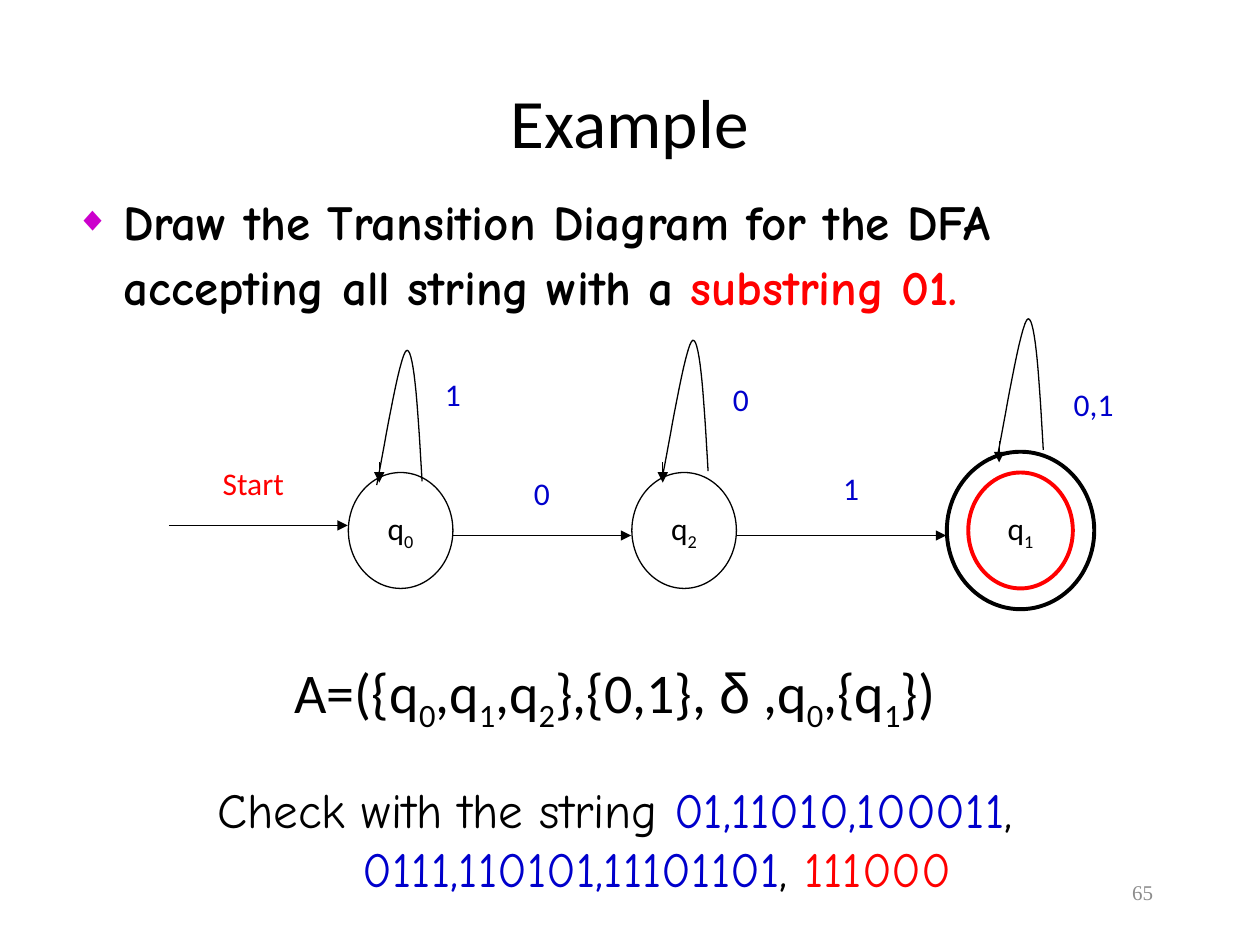
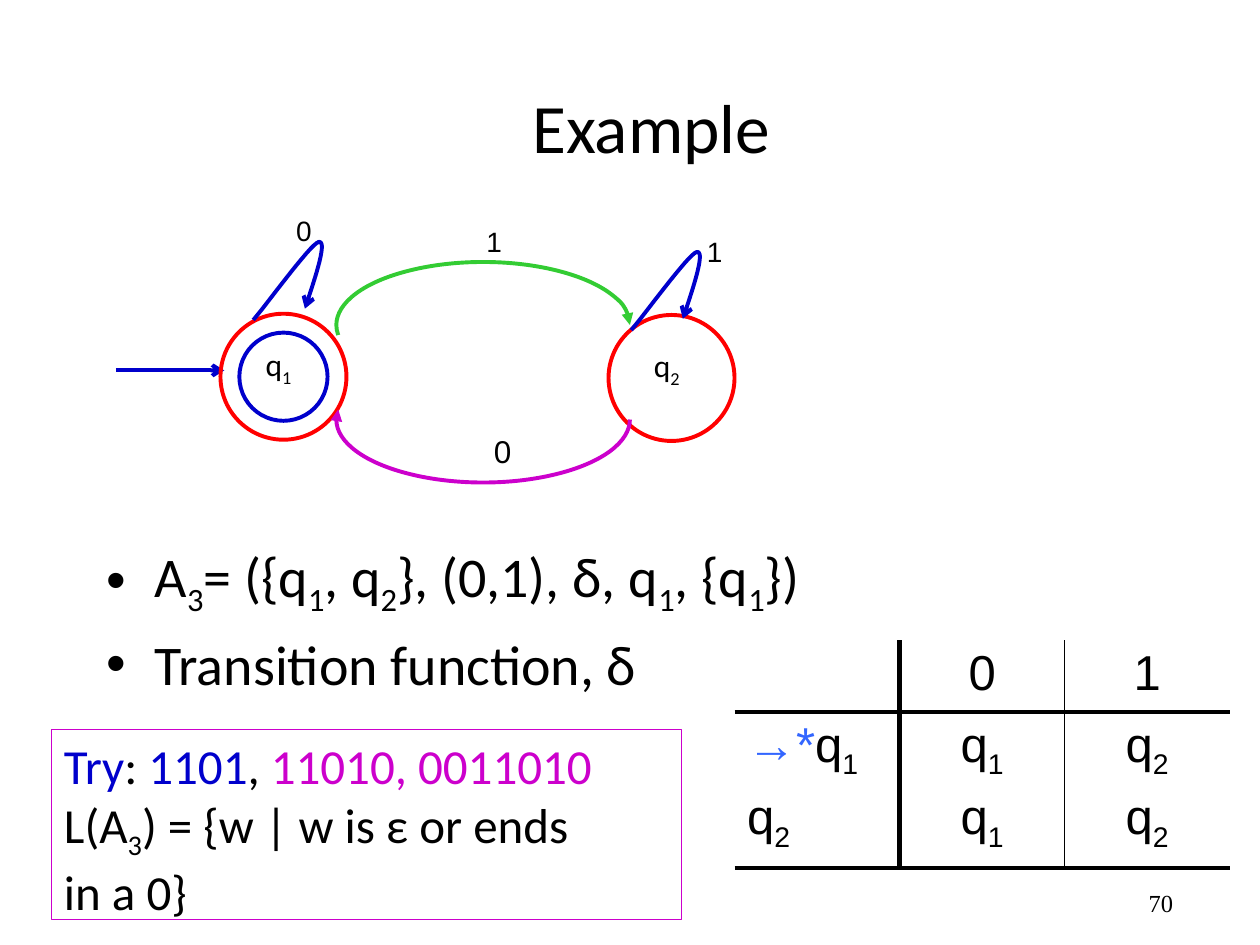
"""Builds two slides with state diagrams of finite automata."""
from math import cos, radians, sin

from lxml import etree
from pptx import Presentation
from pptx.dml.color import RGBColor
from pptx.enum.shapes import MSO_CONNECTOR, MSO_SHAPE
from pptx.enum.text import MSO_ANCHOR, PP_ALIGN
from pptx.oxml.ns import qn
from pptx.util import Inches, Pt

LEFT, CENTER, RIGHT = PP_ALIGN.LEFT, PP_ALIGN.CENTER, PP_ALIGN.RIGHT
TOP, MIDDLE = MSO_ANCHOR.TOP, MSO_ANCHOR.MIDDLE
OVAL, ARC, RECTANGLE = MSO_SHAPE.OVAL, MSO_SHAPE.ARC, MSO_SHAPE.RECTANGLE
STRAIGHT = MSO_CONNECTOR.STRAIGHT

BLACK, WHITE, GRAY = "000000", "FFFFFF", "8C8C8C"
RED, BLUE, GREEN, PURPLE, SKY = "FF0000", "0000CC", "33CC33", "CC00CC", "3366FF"
BODY, HAND, SANS, SERIF = "Calibri", "Comic Neue", "Arial", "Times New Roman"
THIN, THICK = 0.75, 2.25


def write(frame, paragraphs, size, font=BODY, align=LEFT, anchor=TOP, wrap=True, before=0,
          bold=False, hang=0, bullet=None, bullet_color=BLACK, bullet_share=100):
    """Fill a frame with lists of (text, colour[, font[, size]]); "_" lowers one character."""
    frame.word_wrap = wrap
    frame.vertical_anchor = anchor
    for number, pieces in enumerate(paragraphs):
        paragraph = frame.add_paragraph() if number else frame.paragraphs[0]
        paragraph.alignment = align
        paragraph.space_before = Pt(before)
        properties = paragraph._p.get_or_add_pPr()
        properties.set("marL", str(Inches(hang)))
        properties.set("indent", str(-Inches(hang)))
        if bullet:
            tint = etree.SubElement(properties, qn("a:buClr"))
            etree.SubElement(tint, qn("a:srgbClr"), val=bullet_color)
            etree.SubElement(properties, qn("a:buSzPct"), val=str(bullet_share * 1000))
            etree.SubElement(properties, qn("a:buFont"), typeface=SANS)
            etree.SubElement(properties, qn("a:buChar"), char=bullet)
        for text, color, *own in pieces:
            plain, *lowered = text.split("_")
            parts = [(plain, False)]
            for part in lowered:
                parts += [(part[0], True), (part[1:], False)]
            for part, is_subscript in parts:
                if not part:
                    continue
                run = paragraph.add_run()
                run.text = part
                run.font.name = own[0] if own else font
                run.font.size = Pt(own[1] if len(own) > 1 else size)
                run.font.bold = bold
                run.font.color.rgb = RGBColor.from_string(color)
                if is_subscript:
                    run._r.get_or_add_rPr().set("baseline", "-25000")


def stroke(shape, color, width, head=None, tail=None):
    """Set the line, its arrowheads and no shadow."""
    shape.line.color.rgb = RGBColor.from_string(color)
    shape.line.width = Pt(width)
    properties = shape._element.spPr
    line = properties.find(qn("a:ln"))
    for end, kind in (("a:headEnd", head), ("a:tailEnd", tail)):
        if kind:
            etree.SubElement(line, qn(end), type=kind)
    etree.SubElement(properties, qn("a:effectLst"))


deck = Presentation()
deck.slide_width, deck.slide_height = Inches(10), Inches(7.5)
title_only = deck.slide_layouts[5]

frames = [
    ((0.75, 0.67, 8.5, 0.58), "65", (7.17, 6.83, 2.08, 0.5), 12, GRAY, MIDDLE),
    ((0.92, 0.83, 8.5, 0.33), "70", (7.33, 7, 2.08, 0.5), 14, BLACK, TOP),
]
slides = []
for title_at, page, page_at, page_size, page_color, page_anchor in frames:
    slide = deck.slides.add_slide(title_only)
    title = slide.shapes.title
    title.left, title.top, title.width, title.height = map(Inches, title_at)
    write(title.text_frame, [[("Example", BLACK)]], 39.6, align=CENTER, anchor=MIDDLE)
    number = slide.shapes.add_textbox(*map(Inches, page_at))
    write(number.text_frame, [[(page, page_color)]], page_size, SERIF, RIGHT, page_anchor)
    slides.append(slide.shapes)
substring, ending = slides

task = substring.add_textbox(*map(Inches, (0.5, 1.42, 9, 5.5))).text_frame
write(task, [[("Draw the Transition Diagram for the DFA accepting all string with a ", BLACK),
              ("substring 01.", RED)]],
      28, HAND, before=2, bold=True, hang=0.38,
      bullet="◆", bullet_color=PURPLE, bullet_share=70)
task.paragraphs[0].line_spacing = 1.11

center_y = 4.21
states = [
    (3.18, 0.83, 0.92, BLACK, THIN, "q_0"),
    (8.1, 1.17, 1.25, BLACK, THICK, ""),
    (5.43, 0.83, 0.92, BLACK, THIN, "q_2"),
    (8.1, 0.83, 0.92, RED, THICK, "q_1"),
]
for center_x, width, height, color, weight, name in states:
    state = substring.add_shape(OVAL, *map(Inches, (
        center_x - width / 2, center_y - height / 2, width, height)))
    state.fill.solid()
    state.fill.fore_color.rgb = RGBColor.from_string(WHITE)
    stroke(state, color, weight)
    write(state.text_frame, [[(name, BLACK)]], 18, align=CENTER, anchor=MIDDLE, wrap=False)

moves = [
    (substring, (3.59, 4.25), (5.01, 4.25), BLACK, THIN, "triangle"),
    (substring, (5.84, 4.25), (7.51, 4.25), BLACK, THIN, "triangle"),
    (substring, (1.34, 4.17), (2.76, 4.17), BLACK, THIN, "triangle"),
    (substring, (3.01, 3.67), (3.01, 3.83), BLACK, THIN, "triangle"),
    (substring, (5.26, 3.67), (5.26, 3.83), BLACK, THIN, "triangle"),
    (substring, (7.93, 3.5), (7.93, 3.67), BLACK, THIN, "triangle"),
    (ending, (0.92, 2.94), (1.78, 2.94), BLUE, THICK, "arrow"),
]
for shapes, start, end, color, weight, tip in moves:
    move = shapes.add_connector(STRAIGHT, *map(Inches, start + end))
    stroke(move, color, weight, tail=tip)

for center_x, center_y, diameter, color in [
        (2.25, 2.99, 1, RED), (2.25, 2.99, 0.7, BLUE), (5.33, 3, 1, RED)]:
    ring = ending.add_shape(OVAL, *map(Inches, (
        center_x - diameter / 2, center_y - diameter / 2, diameter, diameter)))
    ring.fill.background()
    stroke(ring, color, THICK)

tall_loop = [((0, 0), (-0.03, -0.52), (-0.06, -1.04), (-0.12, -1.04)),
             ((-0.12, -1.04), (-0.18, -1.03), (-0.32, -0.15), (-0.36, 0.03))]
slanted_loop = [((0, 0), (0.09, -0.27), (0.18, -0.54), (0.11, -0.53)),
                ((0.11, -0.53), (0.04, -0.51), (-0.32, -0.01), (-0.41, 0.09))]
loops = [
    (substring, 3.35, 3.82, tall_loop, 340.2, BLACK, THIN, None),
    (substring, 5.62, 3.74, tall_loop, 340.2, BLACK, THIN, None),
    (substring, 8.28, 3.57, tall_loop, 340.2, BLACK, THIN, None),
    (ending, 2.42, 2.45, slanted_loop, 341.3, BLUE, THICK, "arrow"),
    (ending, 5.42, 2.53, slanted_loop, 341.3, BLUE, THICK, "arrow"),
]
STEPS = 16
for shapes, x, y, curves, angle, color, weight, tip in loops:
    turn = complex(cos(radians(angle)), sin(radians(angle)))
    start = complex(Inches(x), Inches(y))
    points = []
    for curve in curves:
        for step in range(1, STEPS + 1):
            t = step / STEPS
            weights = ((1 - t) ** 3, 3 * t * (1 - t) ** 2, 3 * t * t * (1 - t), t ** 3)
            offset = sum(w * complex(*point) for w, point in zip(weights, curve))
            upright = start + Inches(1) * offset / turn
            points.append((upright.real, upright.imag))
    outline = shapes.build_freeform(Inches(x), Inches(y))
    outline.add_line_segments(points, close=False)
    loop = outline.convert_to_shape()
    middle = complex(loop.left + loop.width / 2, loop.top + loop.height / 2)
    middle = start + (middle - start) * turn
    loop.left = int(middle.real - loop.width / 2)
    loop.top = int(middle.imag - loop.height / 2)
    loop.rotation = angle
    loop.fill.background()
    stroke(loop, color, weight, head=tip)

for top, color, head, tail in [(2.08, GREEN, None, "triangle"),
                               (2.83, PURPLE, "triangle", None)]:
    arc = ending.add_shape(ARC, *map(Inches, (2.67, top, 2.33, 1)))
    arc.adjustments[0], arc.adjustments[1] = 105.62, 0
    arc.fill.background()
    stroke(arc, color, THICK, head, tail)
    if head:
        arc._element.spPr.find(qn("a:xfrm")).set("flipV", "1")

for text, color, at in [
        ("Start", RED, (1.51, 3.67, 1, 0.33)), ("0", BLUE, (4.01, 3.75, 0.58, 0.33)),
        ("1", BLUE, (6.59, 3.75, 0.33, 0.25)), ("1", BLUE, (3.43, 3, 0.33, 0.25)),
        ("0", BLUE, (5.59, 3, 0.58, 0.33)), ("0,1", BLUE, (8.38, 3.08, 0.6, 0.25))]:
    label = substring.add_textbox(*map(Inches, at))
    write(label.text_frame, [[(text, color)]], 18, align=CENTER, anchor=MIDDLE, wrap=False)

for name, left, top in [("q_1", 2.01, 2.69), ("q_2", 5.09, 2.7)]:
    label = ending.add_textbox(*map(Inches, (left, top, 0.51, 0.5)))
    write(label.text_frame, [[(name, BLACK)]], 18, wrap=False)

automaton = substring.add_textbox(*map(Inches, (0.17, 5.17, 9.42, 2))).text_frame
write(automaton,
      [[("A=({q_0,q_1,q_2},{0,1}, ", BLACK), ("δ", BLACK, SANS), (" ,q_0,{q_1})", BLACK)],
       [("Check with the string ", BLACK, HAND, 28), ("01,11010,100011", BLUE, HAND, 28),
        (", ", BLACK, HAND, 28), ("0111,110101,11101101", BLUE, HAND, 28),
        (", ", BLACK, HAND, 28), ("111000", RED, HAND, 28)]],
      32, align=CENTER, before=6.4, hang=0.67)
automaton.paragraphs[1].space_before = Pt(26)

definition = ending.add_textbox(*map(Inches, (0.75, 4.25, 8.5, 2.42)))
write(definition.text_frame,
      [[("A_3= ({q_1, q_2}, (0,1), δ, q_1, {q_1})", BLACK)],
       [("Transition function, δ", BLACK)]],
      32, before=6.4, hang=0.38, bullet="•")

transitions = [
    [[], [[("0", BLACK)]], [[("1", BLACK)]]],
    [[[("→*", SKY), ("q_1", BLACK)], [("q_2", BLACK)]],
     [[("q_1", BLACK)], [("q_1", BLACK)]],
     [[("q_2", BLACK)], [("q_2", BLACK)]]],
]
tables = [
    (3.76, 1.75, 0.32, [0.37], [[[[("1", BLACK)]]]], 16, 0, (0, 0), (0, 0)),
    (3.82, 3.4, 0.32, [0.37], [[[[("0", BLACK)]]]], 18, 0, (0, 0), (0, 0)),
    (2.25, 1.67, 0.32, [0.37], [[[[("0", BLACK)]]]], 16, 0, (0, 0), (0, 0)),
    (5.51, 1.83, 0.32, [0.37], [[[[("1", BLACK)]]]], 16, 0, (0, 0), (0, 0)),
    (5.83, 5.08, 1.31, [0.57, 1.24], transitions, 28, 5.6, (0, 3, 1, 0), (0, 3, 3)),
]
for left, top, width, heights, rows, size, before, vertical, horizontal in tables:
    count = len(rows[0])
    table = ending.add_table(len(rows), count, *map(Inches, (
        left, top, width * count, sum(heights)))).table
    table.first_row = table.horz_banding = False
    for row, height in zip(table.rows, heights):
        row.height = Inches(height)
    for r, contents in enumerate(rows):
        for c, paragraphs in enumerate(contents):
            cell = table.cell(r, c)
            write(cell.text_frame, paragraphs, size, SANS, CENTER if c else LEFT, before=before)
            borders = cell._tc.get_or_add_tcPr()
            for side, weight in (("a:lnL", vertical[c]), ("a:lnR", vertical[c + 1]),
                                 ("a:lnT", horizontal[r]), ("a:lnB", horizontal[r + 1])):
                rule = etree.SubElement(borders, qn(side), w=str(Pt(weight)))
                if weight:
                    ink = etree.SubElement(rule, qn("a:solidFill"))
                    etree.SubElement(ink, qn("a:srgbClr"), val=BLACK)
                else:
                    etree.SubElement(rule, qn("a:noFill"))
            cell.fill.background()

language = ending.add_shape(RECTANGLE, *map(Inches, (0.41, 5.79, 5, 1.51)))
language.fill.background()
stroke(language, PURPLE, THIN)
write(language.text_frame,
      [[("Try", BLUE), (": ", BLACK), ("1101", BLUE), (", ", BLACK), ("11010, 0011010", PURPLE)],
       [("L(A_3) = {w | w is ε or ends", BLACK)],
       [("in a 0}", BLACK)]], 28)

deck.save("out.pptx")
